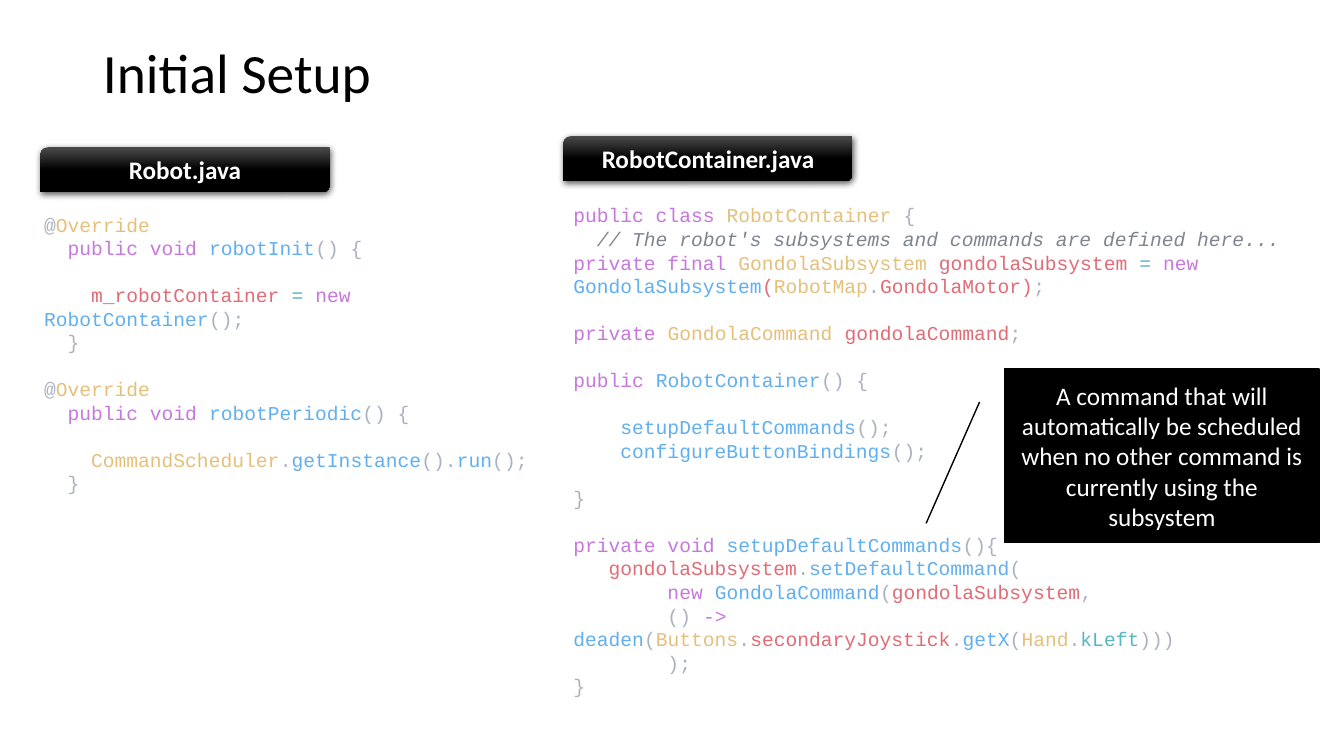
import copy
import lxml.etree
import pptx
import pptx.dml.color
import pptx.enum.shapes
import pptx.enum.text
import pptx.oxml.ns
import pptx.util

Cm, Pt = pptx.util.Cm, pptx.util.Pt
qn = pptx.oxml.ns.qn
SHAPE = pptx.enum.shapes.MSO_SHAPE
ALIGN = pptx.enum.text.PP_ALIGN
ANCHOR = pptx.enum.text.MSO_ANCHOR
PITCH = Pt(16.8)

# Syntax colours: key word, type, function, variable, operator, mark, note
INK = {"k": "C678DD", "t": "E5C07B", "f": "61AFEF", "v": "E06C75",
       "o": "56B6C2", "p": "ABB2BF", "n": "7F848E"}

# Each token is "ink:text"; an empty line is a gap
ROBOT = """\
p:@|t:Override
k:  public void |f:robotInit|p:() {

v:    m_robotContainer |o:= |k:new |f:RobotContainer|p:();
p:  }

p:@|t:Override
k:  public void |f:robotPeriodic|p:() {

t:    CommandScheduler|p:.|f:getInstance|p:().|f:run|p:();
p:  }"""

HOLDER = """\
k:public class |t:RobotContainer |p:{
n:  // The robot's subsystems and commands are defined here...
k:private final |t:GondolaSubsystem |v:gondolaSubsystem |o:= |k:new |f:GondolaSubsystem|v:(|t:RobotMap|p:.|v:GondolaMotor)|p:;

k:private |t:GondolaCommand |v:gondolaCommand|p:;

k:public |f:RobotContainer|p:() {

f:    setupDefaultCommands|p:();
f:    configureButtonBindings|p:();

p:}

k:private void |f:setupDefaultCommands|p:(){
v:   gondolaSubsystem|p:.|f:setDefaultCommand|p:(
k:        new |f:GondolaCommand|p:(|v:gondolaSubsystem|p:,
p:        () |k:-> |f:deaden|p:(|t:Buttons|p:.|v:secondaryJoystick|p:.|f:getX|p:(|t:Hand|p:.|o:kLeft|p:)))
p:        );
p:}"""


def rgb(code):
    return pptx.dml.color.RGBColor.from_string(code)


def style(font, size, ink, name="Calibri", bold=False):
    font.name, font.size, font.bold = name, Pt(size), bold
    font.color.rgb = rgb(ink)


def write(shape, text, size, ink, align, bold=False):
    frame = shape.text_frame
    frame.text = text
    frame.word_wrap = True
    frame.vertical_anchor = ANCHOR.MIDDLE
    para = frame.paragraphs[0]
    para.alignment = align
    style(para.runs[0].font, size, ink, bold=bold)


def add_title(slide, text):
    title = slide.shapes.title
    title.left, title.top = Cm(2.34), Cm(1.02)
    title.width, title.height = Cm(29.21), Cm(1.75)
    write(title, text, 39.6, "000000", ALIGN.LEFT)
    title.text_frame.auto_size = pptx.enum.text.MSO_AUTO_SIZE.NONE
    title.text_frame.paragraphs[0].line_spacing = 0.9


def add_code(slide, code, left, top, width, height):
    box = slide.shapes.add_textbox(Cm(left), Cm(top), Cm(width), Cm(height))
    frame = box.text_frame
    frame.word_wrap = True
    gap = False
    para = frame.paragraphs[0]
    for row, line in enumerate(code.split("\n")):
        if not line:
            gap = True
            continue
        if row:
            para = frame.add_paragraph()
        para.line_spacing = PITCH
        para.space_before = PITCH if gap else Pt(0)
        gap = False
        for token in line.split("|"):
            key, text = token.split(":", 1)
            run = para.add_run()
            run.text = text
            style(run.font, 14, INK[key], "Courier New")
            run.font.italic = key == "n"


def add_shadow(shape):
    shape.shadow.inherit = False
    effects = shape._element.spPr.find(qn("a:effectLst"))
    outer = lxml.etree.SubElement(effects, qn("a:outerShdw"), blurRad="57150",
                                  dist="19050", dir="5400000", algn="ctr", rotWithShape="0")
    tint = lxml.etree.SubElement(outer, qn("a:srgbClr"), val="000000")
    lxml.etree.SubElement(tint, qn("a:alpha"), val="63000")


def add_label(slide, text, left, top):
    label = slide.shapes.add_shape(SHAPE.ROUND_2_DIAG_RECTANGLE, Cm(left), Cm(top),
                                   Cm(7.29), Cm(1.14))
    # Grey to black by the middle, then black to the end
    label.fill.gradient()
    label.fill.gradient_angle = 270
    for stop, ink in zip(label.fill.gradient_stops, ("4B4B4B", "000000")):
        stop.color.rgb = rgb(ink)
    stops = label._element.spPr.find(qn("a:gradFill")).find(qn("a:gsLst"))
    stops.append(copy.deepcopy(stops[1]))
    label.fill.gradient_stops[1].position = 0.5
    label.line.fill.background()
    add_shadow(label)
    write(label, text, 18, "FFFFFF", ALIGN.CENTER, bold=True)


def add_callout(slide, text):
    note = slide.shapes.add_shape(SHAPE.LINE_CALLOUT_1, Cm(25.32), Cm(9.3),
                                  Cm(7.92), Cm(4.37))
    for spot, value in enumerate((0.19, -0.08, 0.89, -0.25)):
        note.adjustments[spot] = value
    note.shadow.inherit = False
    note.fill.solid()
    note.fill.fore_color.rgb = rgb("000000")
    note.line.color.rgb = rgb("000000")
    note.line.width = Pt(1)
    write(note, text, 18, "FFFFFF", ALIGN.CENTER)


def main():
    deck = pptx.Presentation()
    deck.slide_width, deck.slide_height = Cm(33.87), Cm(19.05)
    slide = deck.slides.add_slide(deck.slide_layouts[5])
    add_title(slide, "Initial Setup")

    # Left file
    add_code(slide, ROBOT, 0.86, 5.23, 12.78, 6.83)
    add_label(slide, "Robot.java", 1.02, 3.71)

    # Right file
    add_code(slide, HOLDER, 14.2, 5, 19.3, 12.22)
    add_label(slide, "RobotContainer.java", 14.2, 3.43)
    add_callout(slide, "A command that will automatically be scheduled when no "
                       "other command is currently using the subsystem")
    deck.save("out.pptx")


if __name__ == "__main__":
    main()
